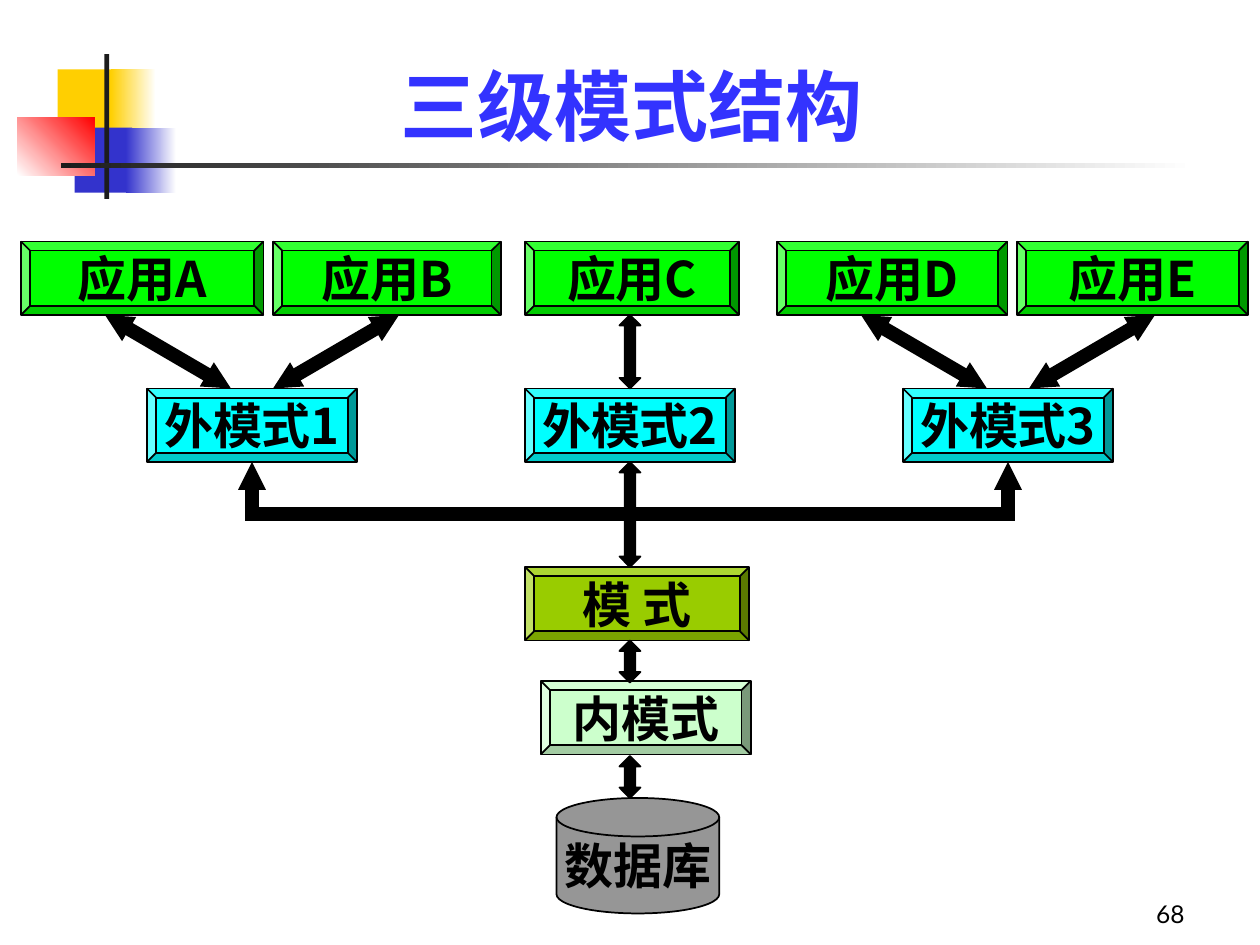
from lxml import etree
from pptx import Presentation
from pptx.dml.color import RGBColor
from pptx.enum.shapes import MSO_CONNECTOR, MSO_SHAPE
from pptx.enum.text import MSO_ANCHOR, PP_ALIGN
from pptx.oxml.ns import qn
from pptx.util import Inches, Pt

RECT, BEVEL = MSO_SHAPE.RECTANGLE, MSO_SHAPE.BEVEL
DISK, UP_DOWN = MSO_SHAPE.FLOWCHART_MAGNETIC_DISK, MSO_SHAPE.UP_DOWN_ARROW
STRAIGHT = MSO_CONNECTOR.STRAIGHT
CENTER, RIGHT = PP_ALIGN.CENTER, PP_ALIGN.RIGHT
MIDDLE, BOTTOM = MSO_ANCHOR.MIDDLE, MSO_ANCHOR.BOTTOM
CJK, LATIN = "Noto Sans CJK SC", "Lato"
BLACK, GREEN, CYAN = "000000", "00FF00", "00FFFF"
BOX_H = 7                      # rows in a diagram box
COLS, ROWS = 120, 90           # slide grid, twelve cells to the inch
LINE_PT = 8
HALF_LINE = LINE_PT / 12       # half a link's thickness, in cells of 6 pt


def cell(n):
    return Inches(n / 12)


def rgb(value):
    return RGBColor.from_string(value)


def write(sp, text, size=28, font=CJK, color=BLACK, bold=True,
          align=CENTER, anchor=MIDDLE, wrap=False):
    tf = sp.text_frame
    tf.word_wrap, tf.vertical_anchor = wrap, anchor
    p = tf.paragraphs[0]
    p.alignment = align
    r = p.add_run()
    r.text = text
    r.font.size, r.font.name, r.font.bold = Pt(size), font, bold
    r.font.color.rgb = rgb(color)
    latin = r.font._element.find(qn("a:latin"))
    ea = etree.Element(qn("a:ea"), typeface=CJK)
    latin.addnext(ea)


def add_shape(slide, kind, x, y, w, h, fill, line=None, fade=None, angle=0):
    """Preset shape in grid cells; fade is the second gradient colour."""
    sp = slide.shapes.add_shape(kind, cell(x), cell(y), cell(w), cell(h))
    sp.shadow.inherit = False
    if fade:
        sp.fill.gradient()
        sp.fill.gradient_angle = angle
        for stop, color in zip(sp.fill.gradient_stops, (fill, fade)):
            stop.color.rgb = rgb(color)
    else:
        sp.fill.solid()
        sp.fill.fore_color.rgb = rgb(fill)
    if line:
        sp.line.color.rgb = rgb(line)
        sp.line.width = Pt(1)
    else:
        sp.line.fill.background()
    return sp


def add_box(slide, text, x, y, w, fill, kind=BEVEL, h=BOX_H):
    sp = add_shape(slide, kind, x, y, w, h, fill, line=BLACK)
    write(sp, text)
    return sp


def add_double_arrow(slide, x, y, h, head):
    """Block arrow two columns wide, centred on column x."""
    sp = add_shape(slide, UP_DOWN, x - 1, y, 2, h, BLACK, line=BLACK)
    sp.adjustments[0], sp.adjustments[1] = head, 0.5   # head length, shaft width


def add_line(slide, x1, y1, x2, y2, ends=()):
    c = slide.shapes.add_connector(STRAIGHT, cell(x1), cell(y1), cell(x2), cell(y2))
    c.line.color.rgb = rgb(BLACK)
    c.line.width = Pt(LINE_PT)
    for end in ends:
        etree.SubElement(c.line._get_or_add_ln(), qn(f"a:{end}"),
                         type="triangle", w="sm", len="sm")
    etree.SubElement(c._element.spPr, qn("a:effectLst"))
    return c


def decoration(slide, x, y):
    """Coloured squares and rules beside the title."""
    white, dark, yellow, blue = "FFFFFF", "1C1C1C", "FFCF01", "3333CC"
    for dx, dy, w, h, fill, fade, angle in (
            (3.85, 1.45, 5.75, 6.2, yellow, None, 0),
            (8.9, 1.45, 4.3, 6.2, yellow, white, 0),
            (5.45, 7, 5.5, 6.2, blue, None, 0),
            (10.35, 7, 4.8, 6.2, blue, white, 0),
            (0, 6, 7.35, 5.55, white, "FF0000", 45),
            (8.3, 0, 0.45, 13.8, dark, None, 0),
            (4.15, 10.4, 108, 0.45, dark, white, 0)):
        add_shape(slide, RECT, x + dx, y + dy, w, h, fill, fade=fade, angle=angle)


def heading(slide, text, x, y, w, h):
    title = slide.shapes.title
    title.left, title.top, title.width, title.height = map(cell, (x, y, w, h))
    write(title, text, size=44, font=LATIN, color="3333FF", wrap=True)


def page_number(slide, text, x, y, w, h):
    tb = slide.shapes.add_textbox(*map(cell, (x, y, w, h)))
    write(tb, text, size=14, font=LATIN, bold=False, align=RIGHT,
          anchor=BOTTOM, wrap=True)


def app_pair(slide, x, y, view, apps, bus_dy):
    """Two applications sharing one external schema, linked down to the bus."""
    view_y = y + 2 * BOX_H
    view_box = add_box(slide, view, x + 12, view_y, 20, CYAN)
    for (name, dx, w), foot, top in zip(apps, (20, 24), (8, 36)):
        add_box(slide, name, x + dx, y, w, GREEN)
        add_line(slide, x + foot, view_y, x + top, y + BOX_H, ("headEnd", "tailEnd"))
    riser = add_line(slide, x + 22, y + bus_dy, x + 22, view_y + BOX_H, ("tailEnd",))
    riser.end_connect(view_box, 2)


def centre_column(slide, x, y):
    """Single application down through the schemas to the database."""
    axis = x + 10
    add_box(slide, "应用C", x, y, 20.4, GREEN)
    add_box(slide, "外模式2", x, y + 14, 20, CYAN)
    add_box(slide, "模 式", x, y + 31, 21.35, "99CC00")
    add_box(slide, "内模式", x + 1.5, y + 41.85, 20, "CCFFCC")
    add_box(slide, "数据库", x + 3, y + 53, 15.5, "969696", kind=DISK, h=11)
    for dy, h, head in ((7, 7, 0.7), (21, 10, 1), (38, 4, 0.4), (49, 4, 0.4)):
        add_double_arrow(slide, axis, y + dy, h, head)


def bus(slide, x1, x2, y):
    """Two halves meeting at the centre and squaring off the riser corners."""
    mid = (x1 + x2) / 2
    add_line(slide, x1 - HALF_LINE, y, mid, y)
    add_line(slide, mid, y, x2 + HALF_LINE, y)


def main():
    prs = Presentation()
    prs.slide_width, prs.slide_height = cell(COLS), cell(ROWS)
    slide = prs.slides.add_slide(prs.slide_layouts[5])

    # Title area
    decoration(slide, 1.65, 5.15)
    heading(slide, "三级模式结构", 9.1, 4.85, 102.2, 10.3)

    # Schema diagram
    top, bus_dy = 23, 26
    centre_column(slide, 50, top)
    app_pair(slide, 2, top, "外模式1",
             (("应用A", 0, 23.1), ("应用B", 24, 21.7)), bus_dy)
    app_pair(slide, 74, top, "外模式3",
             (("应用D", 0, 21.95), ("应用E", 22.85, 22)), bus_dy)
    bus(slide, 24, 96, top + bus_dy)

    # Footer
    page_number(slide, "68", 89, 83, 25, 6)
    prs.save("out.pptx")


if __name__ == "__main__":
    main()
